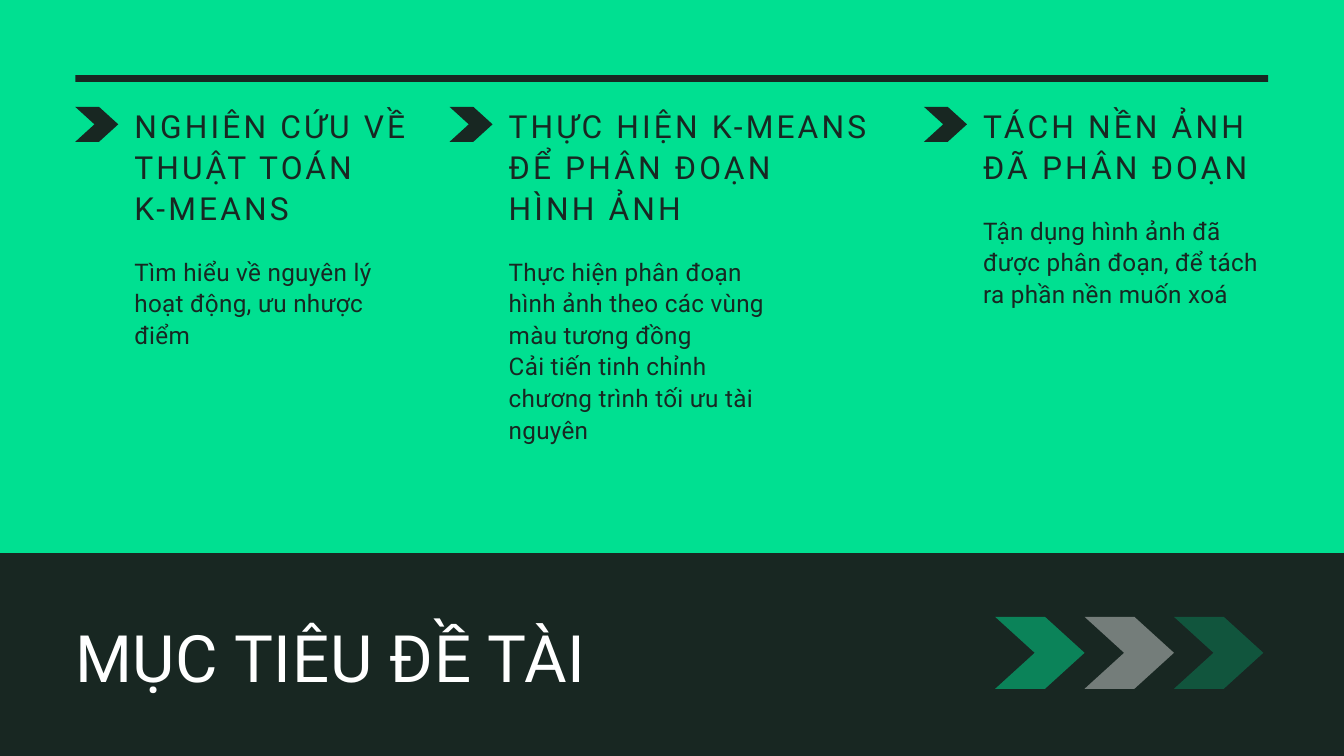
from lxml.etree import SubElement
from pptx import Presentation
from pptx.dml.color import RGBColor
from pptx.enum.shapes import MSO_SHAPE
from pptx.enum.text import MSO_ANCHOR, MSO_AUTO_SIZE, PP_ALIGN
from pptx.oxml.ns import qn
from pptx.util import Inches, Pt

GREEN = RGBColor(0x00, 0xE0, 0x91)
DARK = RGBColor(0x18, 0x27, 0x22)
WHITE = RGBColor(0xFF, 0xFF, 0xFF)

TITLE = "MỤC TIÊU ĐỀ TÀI"
# left edge, heading width, heading lines, heading paragraphs, body paragraphs
GOALS = [
    (1.12, 4.25, 3, ["NGHIÊN CỨU VỀ THUẬT TOÁN", "K-MEANS"],
     ["Tìm hiểu về nguyên lý hoạt động, ưu nhược điểm"]),
    (6.69, 5.43, 3, ["THỰC HIỆN K-MEANS ĐỂ PHÂN ĐOẠN HÌNH ẢNH"],
     ["Thực hiện phân đoạn hình ảnh theo các vùng màu tương đồng",
      "Cải tiến tinh chỉnh chương trình tối ưu tài nguyên"]),
    (13.75, 4.25, 2, ["TÁCH NỀN ẢNH ĐÃ PHÂN ĐOẠN"],
     ["Tận dụng hình ảnh đã được phân đoạn, để tách ra phần nền muốn xoá"]),
]
CHEVRONS = [(GREEN, 50), (WHITE, 40), (GREEN, 25)]  # colour, opacity in percent

LEFT = 1.12
HEADING_TOP = 1.54
HEADING_LINE = 0.61
BODY_GAP = 0.42
BODY_LINE = 0.5
TEXT_INDENT = 0.88
BODY_WIDTH = 4.25
CHEVRON_WIDTH = 1.33
LINE_SPACING = 1.3  # line height as a multiple of the font size


def add_filled(slide, kind, left, top, width, height, color, opacity=100):
    shape = slide.shapes.add_shape(
        kind, Inches(left), Inches(top), Inches(width), Inches(height))
    shape.shadow.inherit = False
    shape.line.fill.background()
    shape.fill.solid()
    shape.fill.fore_color.rgb = color
    if opacity < 100:
        color_element = shape.fill._xPr.find(qn("a:solidFill"))[0]
        SubElement(color_element, qn("a:alpha")).set("val", str(opacity * 1000))
    return shape


def add_chevron(slide, left, top, width, height, color, opacity=100):
    chevron = add_filled(slide, MSO_SHAPE.CHEVRON, left, top, width, height, color, opacity)
    chevron.adjustments[0] = 0.55


def write_text(shape, paragraphs, size, tracking, color):
    """Fill a shape with left-aligned text; tracking is letter spacing in points."""
    frame = shape.text_frame
    frame.word_wrap = True
    frame.auto_size = MSO_AUTO_SIZE.NONE
    frame.vertical_anchor = MSO_ANCHOR.TOP
    frame.margin_left = frame.margin_right = frame.margin_top = frame.margin_bottom = 0
    frame.text = "\n".join(paragraphs)
    for paragraph in frame.paragraphs:
        paragraph.alignment = PP_ALIGN.LEFT
        paragraph.line_spacing = Pt(size * LINE_SPACING)
        font = paragraph.font
        font.name = "Roboto"
        font.size = Pt(size)
        font.color.rgb = color
        font._rPr.set("spc", str(round(tracking * 100)))


def add_text(slide, left, top, width, height, *text_style):
    box = slide.shapes.add_textbox(
        Inches(left), Inches(top), Inches(width), Inches(height))
    write_text(box, *text_style)


def add_goal(slide, left, heading_width, heading_lines, heading, body):
    add_chevron(slide, left, 1.59, 0.64, 0.52, DARK)
    text_left = left + TEXT_INDENT
    heading_height = heading_lines * HEADING_LINE
    add_text(slide, text_left, HEADING_TOP, heading_width, heading_height,
             heading, 34, 3.4, DARK)
    add_text(slide, text_left, HEADING_TOP + heading_height + BODY_GAP, BODY_WIDTH,
             3 * len(body) * BODY_LINE, body, 26, 0.3, DARK)


def main():
    presentation = Presentation()
    presentation.slide_width = Inches(20)
    presentation.slide_height = Inches(11.25)
    slide = presentation.slides.add_slide(presentation.slide_layouts[5])
    slide.background.fill.solid()
    slide.background.fill.fore_color.rgb = GREEN

    band = add_filled(slide, MSO_SHAPE.RECTANGLE, -0.34, 8.23, 20.69, 3.21, DARK)
    title = slide.shapes.title
    band._element.addnext(title._element)  # the title sits in front of the band
    title.left, title.top = Inches(LEFT), Inches(9.08)
    title.width, title.height = Inches(12.52), Inches(1.26)
    write_text(title, [TITLE], 70, 0.7, WHITE)

    for index, (color, opacity) in enumerate(CHEVRONS):
        add_chevron(slide, 14.81 + index * CHEVRON_WIDTH, 9.18,
                    CHEVRON_WIDTH, 1.07, color, opacity)

    add_filled(slide, MSO_SHAPE.RECTANGLE, LEFT, 1.12, 17.75, 0.1, DARK)
    for goal in GOALS:
        add_goal(slide, *goal)

    presentation.save("out.pptx")


if __name__ == "__main__":
    main()
